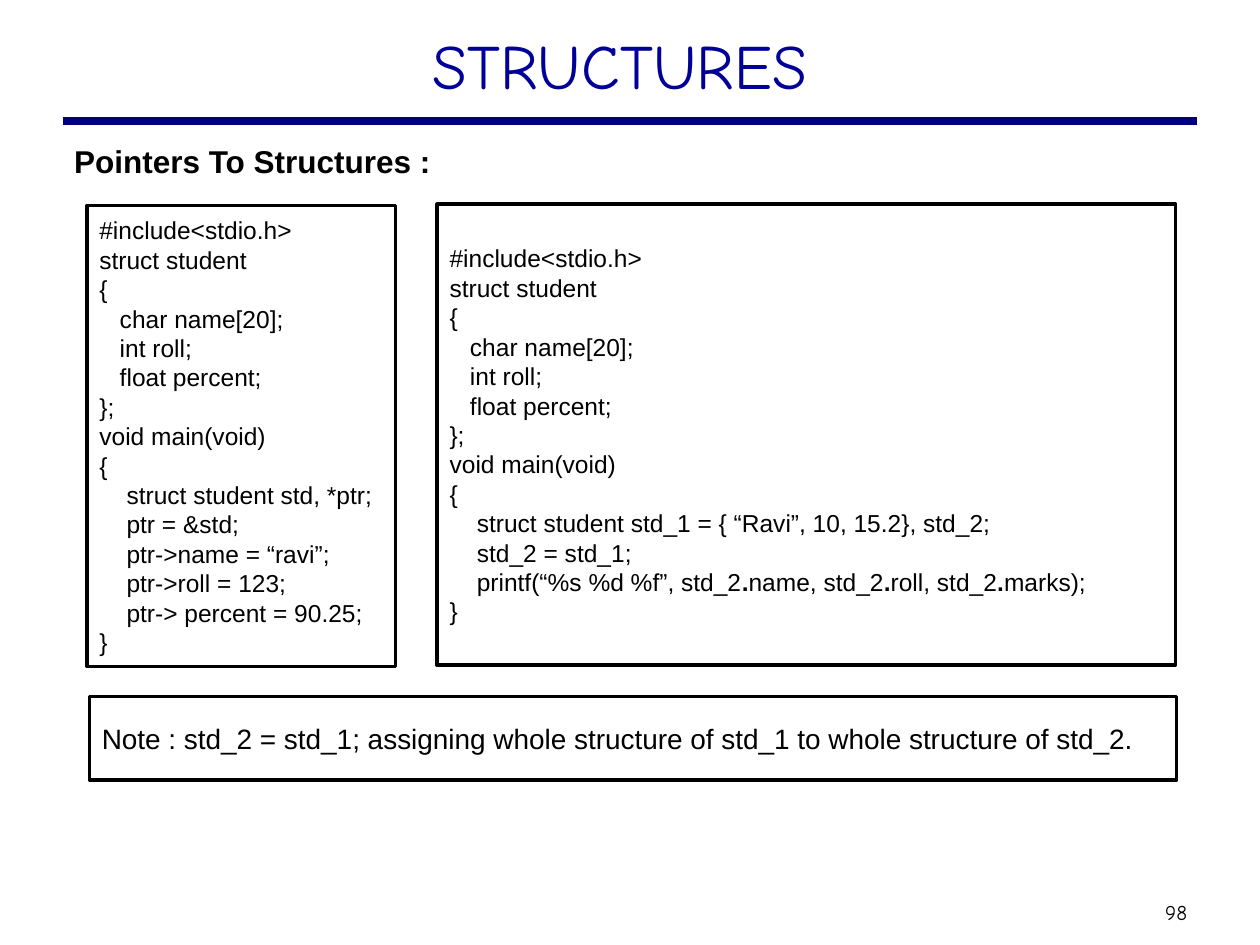
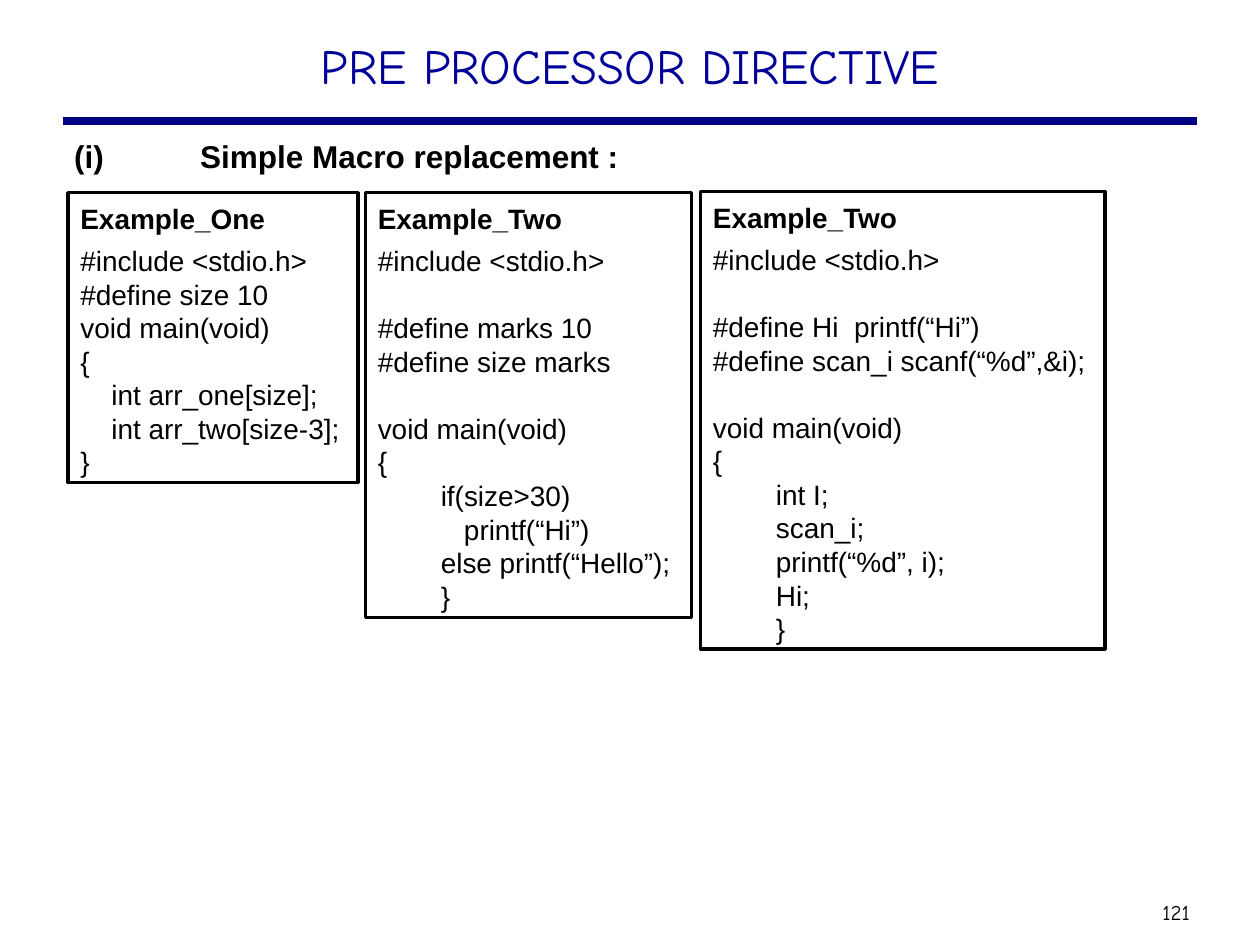
"""Builds two lecture slides on C structures and preprocessor macros."""
from dataclasses import dataclass
from lxml.etree import SubElement
from pptx import Presentation
from pptx.dml.color import RGBColor
from pptx.enum.shapes import MSO_CONNECTOR, MSO_SHAPE
from pptx.enum.text import MSO_ANCHOR, PP_ALIGN
from pptx.oxml.ns import qn
from pptx.util import Inches, Pt


@dataclass(frozen=True)
class Theme:
    title_color: RGBColor = RGBColor(0x00, 0x00, 0x99)
    rule_color: RGBColor = RGBColor(0x00, 0x00, 0x80)
    ink: RGBColor = RGBColor(0x00, 0x00, 0x00)
    title_font: str = "Comic Neue"
    body_font: str = "Arial"
    heading_size: int = 18
    example_size: int = 16
    code_size: int = 14
    number_size: int = 12
    leading: float = 1.2


theme = Theme()


def add_label(page, place, text, font_name, size, color, bold=False):
    box = page.shapes.add_textbox(*[Inches(length) for length in place])
    frame = box.text_frame
    frame.word_wrap = True
    frame.text = text
    para = frame.paragraphs[0]
    if "\t" in text:
        tabs = SubElement(para._p.get_or_add_pPr(), qn("a:tabLst"))
        SubElement(tabs, qn("a:tab"), pos=str(Inches(1)), algn="l")
    for span in para.runs:
        span.font.name = font_name
        span.font.size = Pt(size)
        span.font.bold = bold
        span.font.color.rgb = color
    return box


def add_framed_text(page, place, text, size, anchor=MSO_ANCHOR.MIDDLE):
    """Frames the lines; ** toggles bold and an empty line becomes spacing."""
    box = page.shapes.add_shape(MSO_SHAPE.RECTANGLE, *[Inches(length) for length in place])
    box.shadow.inherit = False
    box.fill.background()
    box.line.color.rgb = theme.ink
    box.line.width = Pt(2)
    frame = box.text_frame
    frame.word_wrap = True
    frame.vertical_anchor = anchor
    line_height = size * theme.leading
    para, gap = None, 0
    for line in text.strip("\n").split("\n"):
        if not line:
            gap = line_height
            continue
        para = frame.add_paragraph() if para else frame.paragraphs[0]
        para.alignment = PP_ALIGN.LEFT
        para.line_spacing = Pt(line_height)
        if gap:
            para.space_before = Pt(gap)
        gap = 0
        for index, piece in enumerate(line.split("**")):
            if piece:
                span = para.add_run()
                span.text = piece
                span.font.name = theme.body_font
                span.font.size = Pt(size)
                span.font.bold = index % 2 == 1
                span.font.color.rgb = theme.ink
    return box


deck = Presentation()
deck.slide_width, deck.slide_height = Inches(10), Inches(7.5)

pages = []
for title, title_place, title_size, heading, heading_top, number in [
    ("STRUCTURES", (0.67, 0.16, 8.5, 0.76), 36, "Pointers To Structures :", 1.08, "98"),
    ("PRE PROCESSOR DIRECTIVE", (0.75, 0.23, 8.5, 0.65), 28,
     "(i)\tSimple Macro replacement :", 1.04, "121"),
]:
    page = deck.slides.add_slide(deck.slide_layouts[6])
    rule = page.shapes.add_connector(
        MSO_CONNECTOR.STRAIGHT, Inches(0.5), Inches(0.96), Inches(9.5), Inches(0.96))
    rule.line.color.rgb = theme.rule_color
    rule.line.width = Pt(4.5)
    SubElement(rule._element.spPr, qn("a:effectLst"))
    title_box = add_label(page, title_place, title, theme.title_font, title_size, theme.title_color)
    title_box.text_frame.paragraphs[0].alignment = PP_ALIGN.CENTER
    add_label(page, (0.49, heading_top, 8.99, 0.4), heading, theme.body_font,
              theme.heading_size, theme.ink, bold=True)
    number_box = add_label(page, (9.1, 7.09, 0.47, 0.3), number, theme.title_font,
                           theme.number_size, theme.ink)
    number_frame = number_box.text_frame
    number_frame.margin_left = number_frame.margin_right = Inches(0.05)
    number_frame.vertical_anchor = MSO_ANCHOR.MIDDLE
    number_frame.paragraphs[0].alignment = PP_ALIGN.CENTER
    pages.append(page)
structures_page, macros_page = pages

student_struct = """
#include<stdio.h>
struct student
{
   char name[20];
   int roll;
   float percent;
};
void main(void)
{
"""
pointer_body = """    struct student std, *ptr;
    ptr = &std;
    ptr->name = “ravi”;
    ptr->roll = 123;
    ptr-> percent = 90.25;
}
"""
assignment_body = """    struct student std_1 = { “Ravi”, 10, 15.2}, std_2;
    std_2 = std_1;
    printf(“%s %d %f”, std_2**.**name, std_2**.**roll, std_2**.**marks);
}
"""
note = "Note : std_2 = std_1; assigning whole structure of std_1 to whole structure of std_2."
for place, text, size in [
    ((0.69, 1.63, 2.45, 3.66), student_struct + pointer_body, theme.code_size),
    ((3.47, 1.62, 5.86, 3.66), student_struct + assignment_body, theme.code_size),
    ((0.71, 5.53, 8.63, 0.66), note, theme.example_size),
]:
    add_framed_text(structures_page, place, text, size)

array_example = """
**Example_One**
#include <stdio.h>
#define size 10
void main(void)
{
    int arr_one[size];
    int arr_two[size-3];
}
"""
nested_example = """
**Example_Two**
#include <stdio.h>

#define marks 10
#define size marks

void main(void)
{
if(size>30)
   printf(“Hi”)
else printf(“Hello”);
}
"""
statement_example = """
**Example_Two**
#include <stdio.h>

#define Hi  printf(“Hi”)
#define scan_i scanf(“%d”,&i);

void main(void)
{
int I;
scan_i;
printf(“%d”, i);
Hi;
}
"""
for place, text, indented_lines in [
    ((0.54, 1.53, 2.3, 2.3), array_example, 0),
    ((2.9, 1.53, 2.59, 3.37), nested_example, 4),
    ((5.56, 1.52, 3.21, 3.63), statement_example, 5),
]:
    box = add_framed_text(macros_page, place, text, theme.example_size, MSO_ANCHOR.TOP)
    box.text_frame.margin_top = Inches(0.07)
    paragraphs = box.text_frame.paragraphs
    paragraphs[1].space_before = Pt(4.8)
    for para in paragraphs[len(paragraphs) - indented_lines:]:
        para._p.get_or_add_pPr().set("marL", str(Inches(0.5)))

deck.save("out.pptx")
